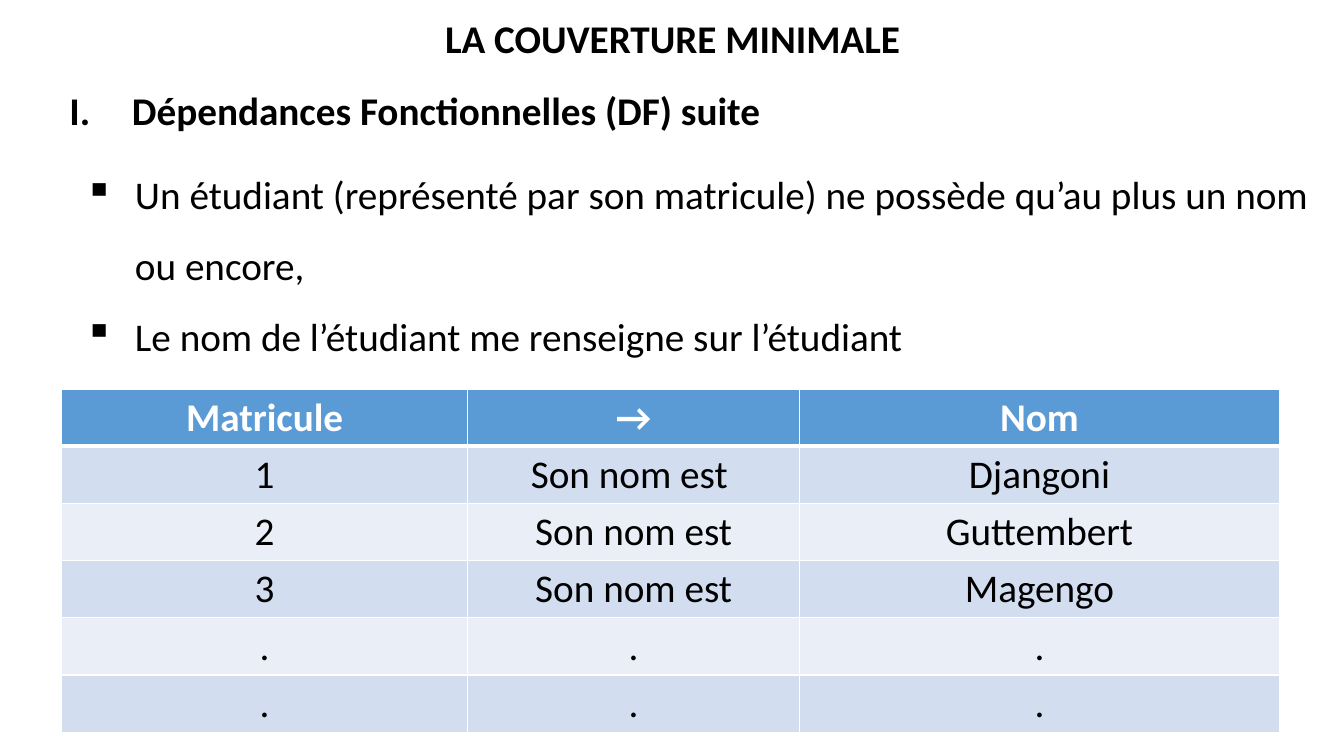
"""Build the slide on functional dependencies and the minimal cover."""
from dataclasses import dataclass

from lxml.etree import SubElement
from pptx import Presentation
from pptx.dml.color import RGBColor
from pptx.enum.text import MSO_ANCHOR, MSO_AUTO_SIZE, PP_ALIGN
from pptx.oxml.ns import qn
from pptx.util import Inches, Pt


@dataclass(frozen=True)
class Theme:
    """Colours, font and type size of the slide."""
    font: str = "Calibri"
    size: float = 28
    text: str = "000000"
    white: str = "FFFFFF"
    header: str = "5B9BD5"
    bands: tuple = ("D2DEEF", "EAEFF7")


@dataclass(frozen=True)
class ListStyle:
    """Bullet element, its attributes and the indents in inches."""
    tag: str
    attrs: dict
    margin: float
    hanging: float
    tab: float = 0


@dataclass(frozen=True)
class ListBox:
    """A text box holding list paragraphs."""
    pos: tuple
    items: tuple
    style: ListStyle
    bold: bool = False
    spacing: float = 1.0
    wrap: bool = True


THEME = Theme()
SQUARE = ListStyle("a:buChar", {"char": "▪"}, 0.99, 0.5, 2.54)
ROMAN = ListStyle("a:buAutoNum", {"type": "romanUcPeriod"}, 0.62, 0.62)
LIST_BOXES = (
    ListBox((0.25, 1.41, 12.82, 2.15),
            ("Un étudiant (représenté par son matricule) ne possède qu’au plus un nom ou encore,",
             "Le nom de l’étudiant me renseigne sur l’étudiant"),
            SQUARE, spacing=1.5),
    ListBox((0.59, 0.81, 7.14, 0.57), ("Dépendances Fonctionnelles (DF) suite",),
            ROMAN, bold=True, wrap=False),
)
COL_WIDTHS = (4.03, 3.29, 4.76)
ROWS = (
    ("Matricule", "→", "Nom"),
    ("1", "Son nom est ", "Djangoni"),
    ("2", "Son nom est", "Guttembert"),
    ("3", "Son nom est", "Magengo"),
    (".", ".", "."),
    (".", ".", "."),
)


def write(p, text: str, *, color: str = THEME.text, bold: bool = False,
          align: PP_ALIGN = PP_ALIGN.LEFT, spacing: float = 1.0) -> None:
    """Put formatted text into a paragraph."""
    p.alignment = align
    p.line_spacing = spacing
    r = p.add_run()
    r.text = text
    r.font.name = THEME.font
    r.font.size = Pt(THEME.size)
    r.font.bold = bold
    r.font.color.rgb = RGBColor.from_string(color)


def add_bullet(p, style: ListStyle) -> None:
    """Give a paragraph its bullet, indents and tab stop."""
    pPr = p._p.get_or_add_pPr()
    pPr.set("marL", str(Inches(style.margin)))
    pPr.set("indent", str(-Inches(style.hanging)))
    SubElement(pPr, qn(style.tag), style.attrs)
    if style.tab:
        tabs = SubElement(pPr, qn("a:tabLst"))
        SubElement(tabs, qn("a:tab"), pos=str(Inches(style.tab)), algn="l")


def add_list_box(slide, box: ListBox) -> None:
    """Draw a text box with one list paragraph per item."""
    tf = slide.shapes.add_textbox(*map(Inches, box.pos)).text_frame
    tf.word_wrap = box.wrap
    tf.auto_size = MSO_AUTO_SIZE.SHAPE_TO_FIT_TEXT
    for i, item in enumerate(box.items):
        p = tf.add_paragraph() if i else tf.paragraphs[0]
        add_bullet(p, box.style)
        write(p, item, bold=box.bold, spacing=box.spacing)


def add_borders(cell, top: float, bottom: float) -> None:
    """Draw white borders round a cell, with widths in points."""
    tcPr = cell._tc.get_or_add_tcPr()
    for side, width in (("L", 1), ("R", 1), ("T", top), ("B", bottom)):
        ln = SubElement(tcPr, qn(f"a:ln{side}"), w=str(Pt(width)))
        SubElement(SubElement(ln, qn("a:solidFill")), qn("a:srgbClr"), val=THEME.white)


def add_names_table(slide) -> None:
    """Draw the table from student number to name."""
    table = slide.shapes.add_table(len(ROWS), len(COL_WIDTHS), Inches(0.61), Inches(3.86),
                                   Inches(sum(COL_WIDTHS)), Inches(3.4)).table
    for column, width in zip(table.columns, COL_WIDTHS):
        column.width = Inches(width)
    for i, row in enumerate(ROWS):
        head = i == 0
        fill = THEME.header if head else THEME.bands[(i - 1) % 2]
        for j, text in enumerate(row):
            cell = table.cell(i, j)
            add_borders(cell, top=3 if i == 1 else 1, bottom=3 if head else 1)
            cell.fill.solid()
            cell.fill.fore_color.rgb = RGBColor.from_string(fill)
            write(cell.text_frame.paragraphs[0], text, bold=head, align=PP_ALIGN.CENTER,
                  color=THEME.white if head else THEME.text)


def add_title(slide, text: str) -> None:
    """Place and format the title placeholder."""
    sp = slide.shapes.title
    sp.left, sp.top, sp.width, sp.height = map(Inches, (3.72, 0, 5.9, 0.81))
    tf = sp.text_frame
    tf.word_wrap = True
    tf.vertical_anchor = MSO_ANCHOR.MIDDLE
    write(tf.paragraphs[0], text, bold=True, align=PP_ALIGN.CENTER, spacing=0.9)


def main() -> None:
    """Build and save the presentation."""
    prs = Presentation()
    prs.slide_width, prs.slide_height = Inches(13.33), Inches(7.5)
    slide = prs.slides.add_slide(prs.slide_layouts[5])
    add_title(slide, "LA COUVERTURE MINIMALE")
    for box in LIST_BOXES:
        add_list_box(slide, box)
    add_names_table(slide)
    prs.save("out.pptx")


if __name__ == "__main__":
    main()
